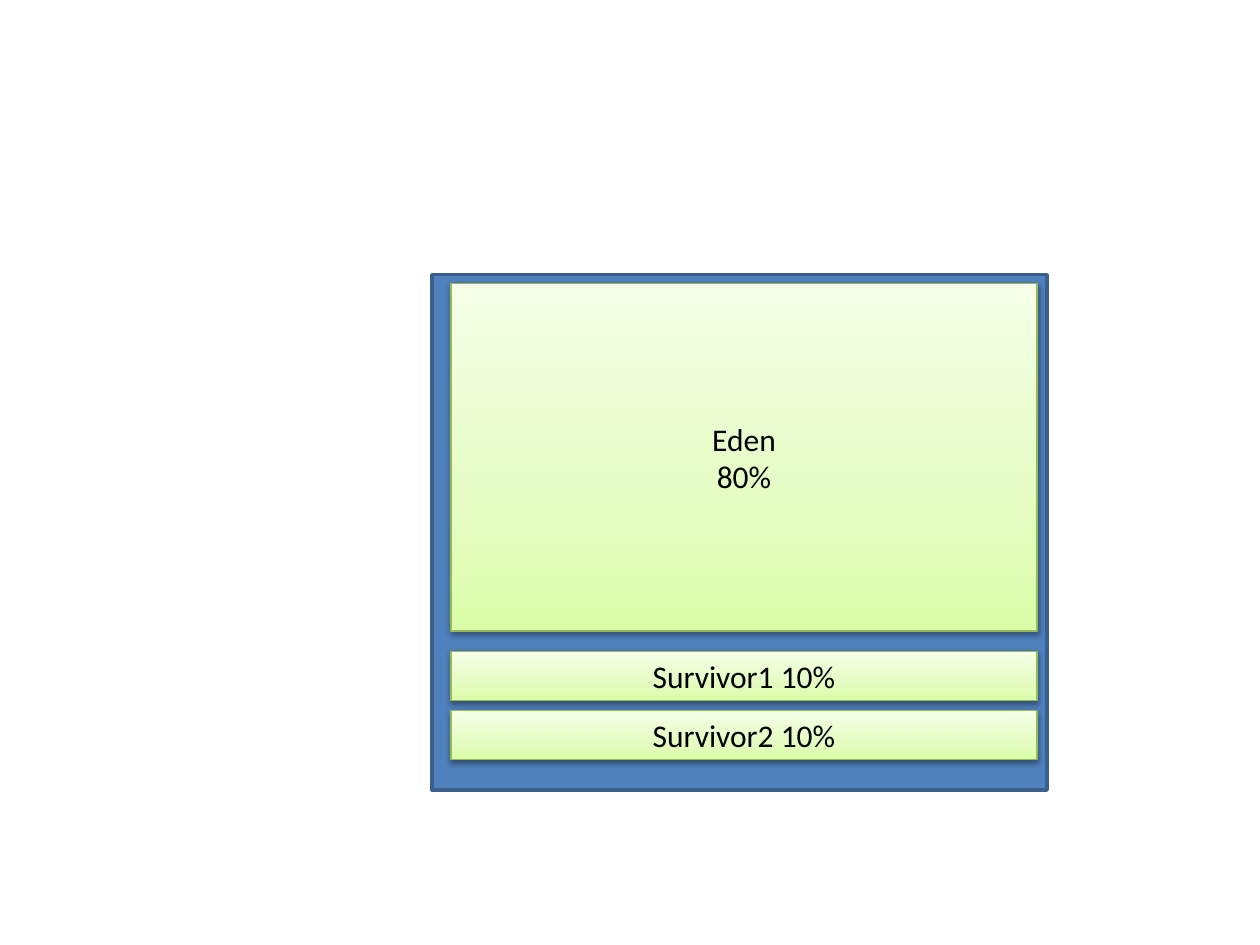
from lxml import etree
from pptx import Presentation, util as u
from pptx.dml.color import RGBColor
from pptx.enum import shapes, text
from pptx.oxml import parse_xml
from pptx.oxml.ns import nsdecls, qn

BLUE = RGBColor(0x4F, 0x81, 0xBD)
NAVY = RGBColor(0x3A, 0x5F, 0x8C)
GREEN = RGBColor(0x98, 0xB9, 0x55)
BLACK = RGBColor(0, 0, 0)
STOPS = [
    (0, RGBColor(0xDA, 0xFD, 0xA7)),
    (35, RGBColor(0xE4, 0xFC, 0xC2)),
    (100, RGBColor(0xF5, 0xFF, 0xE7)),
]

HEAP = (3.43, 2.18, 4.88, 4.09)
REGION_LEFT, REGION_WIDTH = 3.58, 4.65
REGIONS = [
    (["Eden", "80%"], 2.25, 2.76),
    (["Survivor1 10%"], 5.17, 0.39),
    (["Survivor2 10%"], 5.64, 0.39),
]


def add_box(page, place, edge, weight):
    box = page.shapes.add_shape(
        shapes.MSO_SHAPE.RECTANGLE, *[u.Inches(length) for length in place])
    box.line.color.rgb = edge
    box.line.width = u.Pt(weight)
    box.shadow.inherit = False
    return box


def add_gradient(box):
    stops = "".join(
        f'<a:gs pos="{share * 1000}"><a:srgbClr val="{color}"/></a:gs>'
        for share, color in STOPS)
    gradient = parse_xml(
        f'<a:gradFill {nsdecls("a")} rotWithShape="1"><a:gsLst>{stops}</a:gsLst>'
        '<a:lin ang="16200000" scaled="0"/></a:gradFill>')
    box._element.spPr.find(qn("a:prstGeom")).addnext(gradient)


def add_shadow(box):
    effects = box._element.spPr.find(qn("a:effectLst"))
    shadow = etree.SubElement(
        effects, qn("a:outerShdw"), blurRad=str(u.Pt(3.15)), dist=str(u.Pt(1.57)),
        dir="5400000", rotWithShape="0")
    color = etree.SubElement(shadow, qn("a:srgbClr"), val=str(BLACK))
    etree.SubElement(color, qn("a:alpha"), val="38000")


def add_label(box, lines):
    frame = box.text_frame
    frame.word_wrap = True
    frame.vertical_anchor = text.MSO_ANCHOR.MIDDLE
    for index, line in enumerate(lines):
        para = frame.add_paragraph() if index else frame.paragraphs[0]
        para.alignment = text.PP_ALIGN.CENTER
        span = para.add_run()
        span.text = line
        span.font.name = "Calibri"
        span.font.size = u.Pt(18)
        span.font.color.rgb = BLACK


deck = Presentation()
deck.slide_width, deck.slide_height = u.Inches(10), u.Inches(7.5)
page = deck.slides.add_slide(deck.slide_layouts[6])

heap = add_box(page, HEAP, NAVY, 2)
heap.fill.solid()
heap.fill.fore_color.rgb = BLUE

for lines, top, height in REGIONS:
    region = add_box(page, (REGION_LEFT, top, REGION_WIDTH, height), GREEN, 0.75)
    add_gradient(region)
    add_shadow(region)
    add_label(region, lines)

deck.save("out.pptx")
